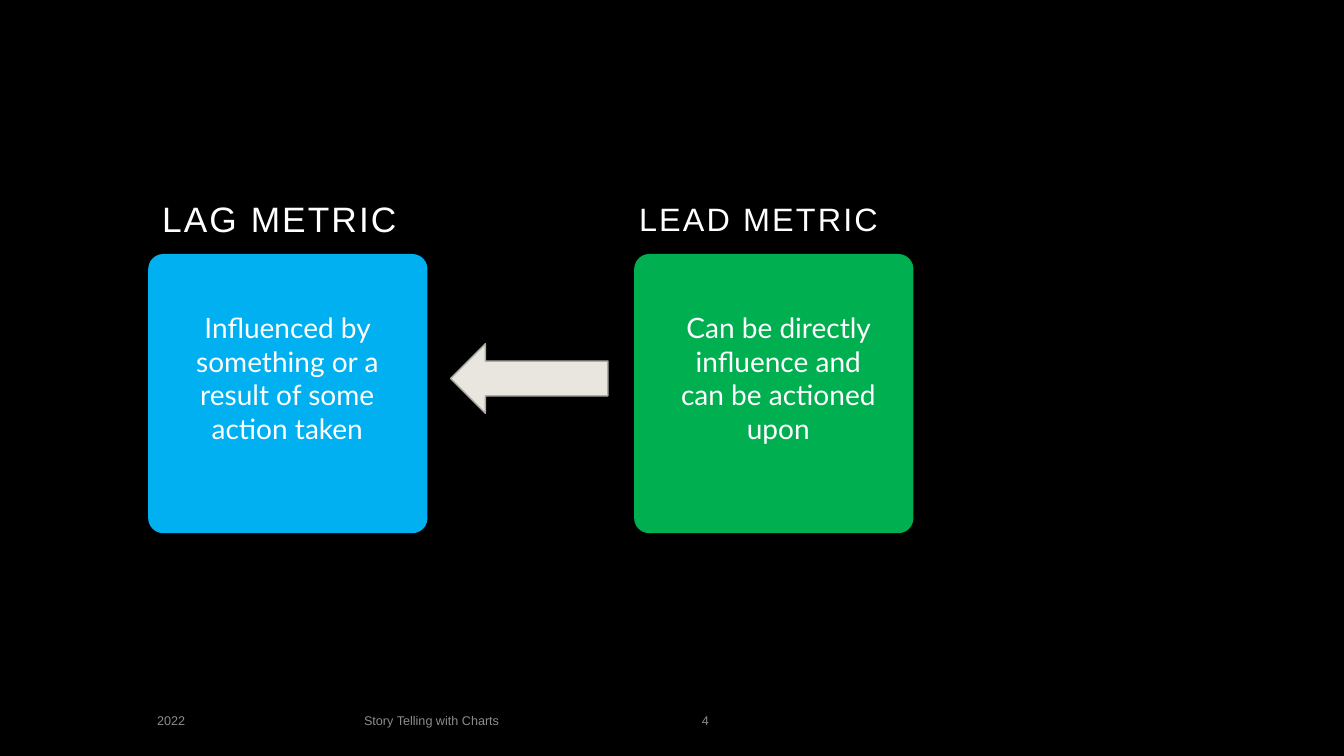
"""Build a slide contrasting lag metrics with lead metrics."""
from pptx import Presentation
from pptx.dml.color import RGBColor
from pptx.enum.shapes import MSO_SHAPE
from pptx.enum.text import MSO_ANCHOR, PP_ALIGN
from pptx.util import Inches, Pt

BLACK = RGBColor(0x00, 0x00, 0x00)
WHITE = RGBColor(0xFF, 0xFF, 0xFF)
GREY = RGBColor(0x8C, 0x8C, 0x8C)
BLUE = RGBColor(0x00, 0xB0, 0xF0)
GREEN = RGBColor(0x00, 0xB0, 0x50)
SAND = RGBColor(0xE9, 0xE6, 0xDF)
SAND_EDGE = RGBColor(0xAC, 0xAA, 0xA5)

CARD_TOP, CARD_SIZE, CARD_RADIUS = 2.52, 2.77, 0.15
BODY_TOP, BODY_WIDTH, BODY_HEIGHT = 3.03, 2.26, 1.45
LABEL_HEIGHT = 0.4
FOOTER_TOP = 6.95
ARROW = (4.47, 3.41, 1.56, 0.69)

CARDS = [
    {"left": 1.47, "fill": BLUE, "body_left": 1.72,
     "body": "Influenced by something or a result of some action taken",
     "heading": "LAG METRIC", "heading_at": (1.51, 1.96),
     "size": 25.2, "line_spacing": 0.9},
    {"left": 6.29, "fill": GREEN, "body_left": 6.59,
     "body": "Can be directly influence and can be actioned upon",
     "heading": "LEAD METRIC", "heading_at": (6.24, 2.03),
     "size": 23.1, "line_spacing": 0.7},
]
FOOTERS = [
    ("2022", 1.46, 1.08, PP_ALIGN.LEFT),
    ("Story Telling with Charts", 2.92, 2.72, PP_ALIGN.CENTER),
    ("4", 6.05, 1.08, PP_ALIGN.RIGHT),
]


def add_text(slide, text, box, *, size, color=WHITE, font="Arial",
             align=PP_ALIGN.LEFT, anchor=MSO_ANCHOR.TOP,
             line_spacing=None, tracking=None):
    frame = slide.shapes.add_textbox(*map(Inches, box)).text_frame
    frame.word_wrap = True
    frame.vertical_anchor = anchor
    paragraph = frame.paragraphs[0]
    paragraph.alignment = align
    if line_spacing:
        paragraph.line_spacing = line_spacing
    run = paragraph.add_run()
    run.text = text
    run.font.name = font
    run.font.size = Pt(size)
    run.font.color.rgb = color
    if tracking:
        run.font._element.set("spc", str(round(tracking * 100)))


def add_block(slide, kind, box, fill, edge=None):
    shape = slide.shapes.add_shape(kind, *map(Inches, box))
    shape.shadow.inherit = False
    shape.fill.solid()
    shape.fill.fore_color.rgb = fill
    if edge:
        shape.line.color.rgb = edge
        shape.line.width = Pt(1)
    else:
        shape.line.fill.background()
    return shape


def add_card(slide, card):
    square = add_block(slide, MSO_SHAPE.ROUNDED_RECTANGLE,
                       (card["left"], CARD_TOP, CARD_SIZE, CARD_SIZE),
                       card["fill"])
    square.adjustments[0] = CARD_RADIUS / CARD_SIZE
    add_text(slide, card["heading"],
             (*card["heading_at"], CARD_SIZE, LABEL_HEIGHT),
             size=card["size"], line_spacing=card["line_spacing"],
             tracking=1.5)
    add_text(slide, card["body"],
             (card["body_left"], BODY_TOP, BODY_WIDTH, BODY_HEIGHT),
             size=20, font="Lato", align=PP_ALIGN.CENTER)


def main():
    presentation = Presentation()
    presentation.slide_width = Inches(13.33)
    presentation.slide_height = Inches(7.5)
    slide = presentation.slides.add_slide(presentation.slide_layouts[6])
    slide.background.fill.solid()
    slide.background.fill.fore_color.rgb = BLACK

    for card in CARDS:
        add_card(slide, card)
    add_block(slide, MSO_SHAPE.LEFT_ARROW, ARROW, SAND, SAND_EDGE)
    for text, left, width, align in FOOTERS:
        add_text(slide, text, (left, FOOTER_TOP, width, LABEL_HEIGHT),
                 size=9, color=GREY, align=align, anchor=MSO_ANCHOR.MIDDLE)

    presentation.save("out.pptx")


if __name__ == "__main__":
    main()
